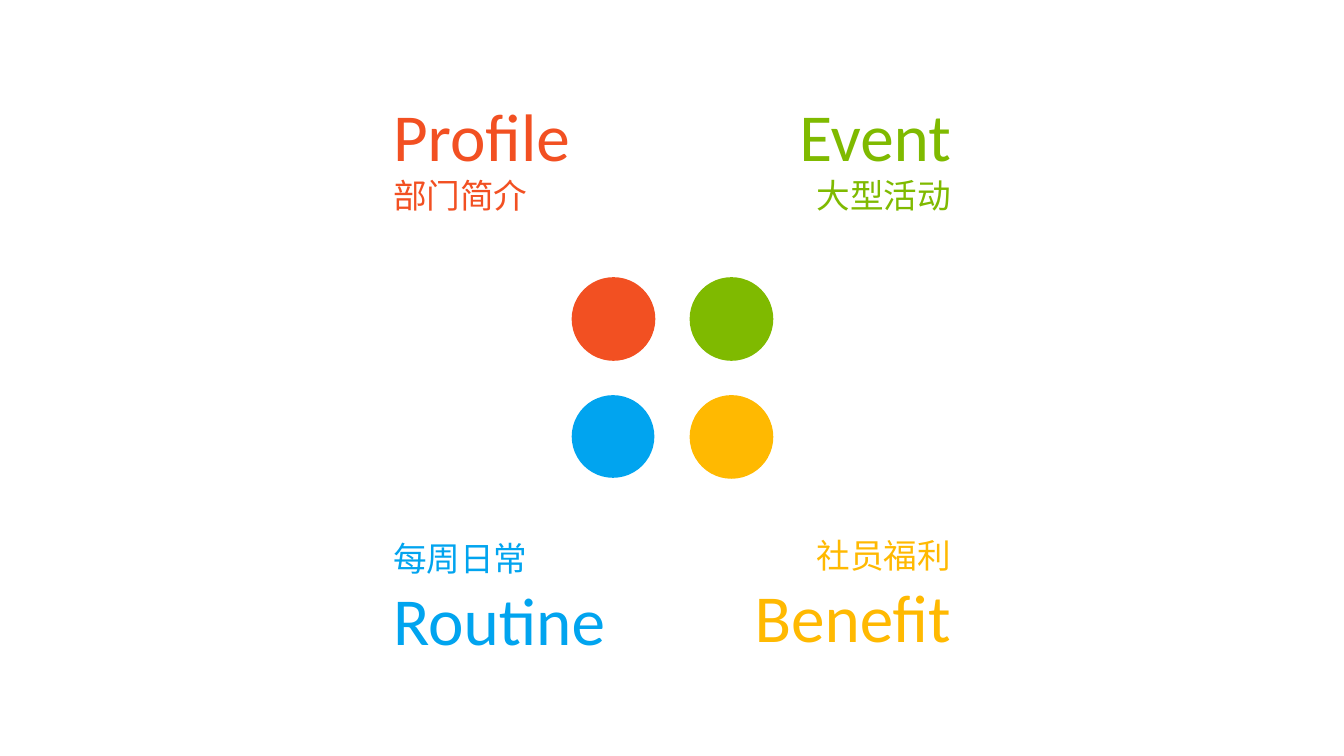
import pptx
import pptx.util
import pptx.dml.color
import pptx.enum.shapes
import pptx.enum.text
import pptx.oxml.ns
import lxml.etree

Inches = pptx.util.Inches
RGBColor = pptx.dml.color.RGBColor
ALIGN = pptx.enum.text.PP_ALIGN

WHITE = RGBColor(0xFF, 0xFF, 0xFF)
RED = RGBColor(0xF2, 0x50, 0x22)
GREEN = RGBColor(0x7F, 0xBA, 0x00)
YELLOW = RGBColor(0xFF, 0xB9, 0x01)
BLUE = RGBColor(0x01, 0xA4, 0xEF)

ENGLISH = {"font": "Calibri", "size": 48}
CHINESE = {"font": "Noto Sans CJK SC", "size": 24}


def add_text(para, text, font, size, color, align):
    """Write one formatted span into a paragraph."""
    para.alignment = align
    span = para.add_run()
    span.text = text
    span.font.name = font
    span.font.size = pptx.util.Pt(size)
    span.font.color.rgb = color
    east_asian = lxml.etree.Element(pptx.oxml.ns.qn("a:ea"), typeface=font)
    span.font._element.find(pptx.oxml.ns.qn("a:latin")).addnext(east_asian)


class SectionPage:
    """Holds the current slide and the style of its elements."""

    def __init__(self, deck):
        self.page = deck.slides.add_slide(deck.slide_layouts[6])
        self.page.background.fill.solid()
        self.page.background.fill.fore_color.rgb = WHITE

    def dot(self, left, top, size, color):
        dot = self.page.shapes.add_shape(
            pptx.enum.shapes.MSO_SHAPE.ROUNDED_RECTANGLE,
            Inches(left), Inches(top), Inches(size), Inches(size))
        dot.adjustments[0] = 0.5
        dot.shadow.inherit = False
        dot.fill.solid()
        dot.fill.fore_color.rgb = color
        dot.line.fill.background()

    def label(self, left, top, width, lines, color, align):
        box = self.page.shapes.add_textbox(
            Inches(left), Inches(top), Inches(width), Inches(1.31))
        frame = box.text_frame
        frame.word_wrap = True
        frame.auto_size = pptx.enum.text.MSO_AUTO_SIZE.SHAPE_TO_FIT_TEXT
        for index, (text, style) in enumerate(lines):
            para = frame.add_paragraph() if index else frame.paragraphs[0]
            add_text(para, text, color=color, align=align, **style)


def main():
    deck = pptx.Presentation()
    deck.slide_width, deck.slide_height = Inches(13.33), Inches(7.5)
    section = SectionPage(deck)

    # Four dots on a square grid
    dot_left, dot_top, pitch = 5.67, 2.75, 1.17
    for column, row, size, color in [(0, 0, 0.83, RED), (1, 0, 0.83, GREEN),
                                     (1, 1, 0.83, YELLOW), (0, 1, 0.82, BLUE)]:
        section.dot(dot_left + column * pitch, dot_top + row * pitch, size, color)

    # Corner labels: English outermost, Chinese towards the dots
    profile = [("Profile", ENGLISH), ("部门简介", CHINESE)]
    event = [("Event", ENGLISH), ("大型活动", CHINESE)]
    benefit = [("社员福利", CHINESE), ("Benefit", ENGLISH)]
    routine = [("每周日常", CHINESE), ("Routine", ENGLISH)]
    section.label(3.8, 0.89, 2.69, profile, RED, ALIGN.LEFT)
    section.label(7.67, 0.89, 1.86, event, GREEN, ALIGN.RIGHT)
    section.label(7.19, 5.26, 2.34, benefit, YELLOW, ALIGN.RIGHT)
    section.label(3.8, 5.29, 2.5, routine, BLUE, ALIGN.LEFT)

    deck.save("out.pptx")


if __name__ == "__main__":
    main()
